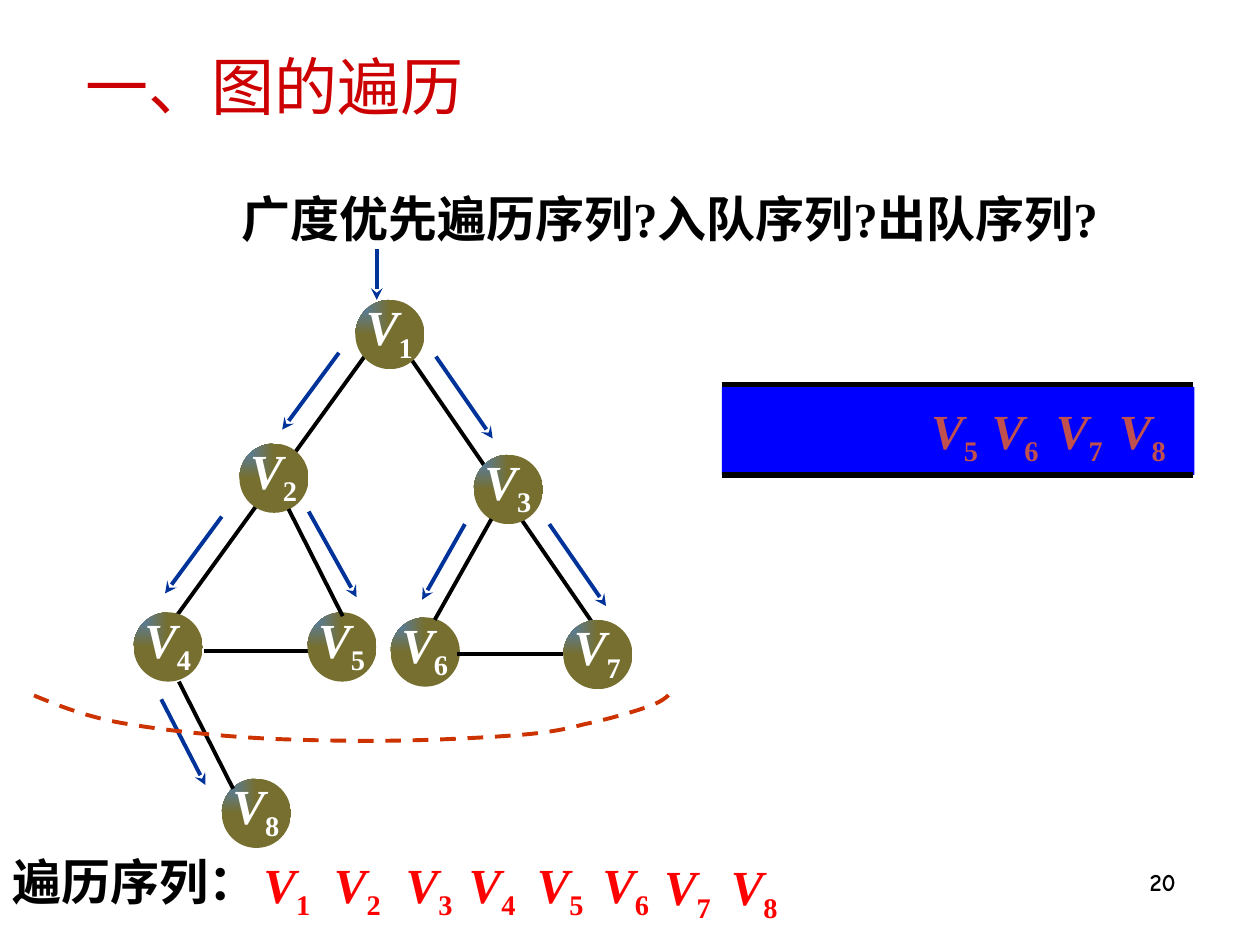
from typing import NamedTuple, Optional

import lxml.etree
import pptx
import pptx.dml.color
import pptx.enum.dml
import pptx.enum.shapes
import pptx.enum.text
import pptx.oxml
import pptx.oxml.ns
import pptx.util

COLUMNS, ROWS = 100, 75  # grid over the slide, ten cells to the inch
CELL = pptx.util.Inches(0.1)
SERIF, CHINESE = "Times New Roman", "Noto Sans CJK SC"
BLACK, WHITE, RED, BLUE = "000000", "FFFFFF", "FF0000", "003399"
NODE_SIZE = 5.5
LABEL_INSETS = (0.2, 0.1, 0.2, 0.1)
Align = pptx.enum.text.PP_ALIGN


class Point(NamedTuple):
    column: float
    row: float


class Area(NamedTuple):
    column: float
    row: float
    columns: float
    rows: float


class Style(NamedTuple):
    size: float
    font: str
    color: str
    bold: bool = True
    italic: bool = False


class Stroke(NamedTuple):
    start: Point
    end: Point
    color: str = BLACK
    width: float = 2.25
    arrow: bool = False


class Vertex(NamedTuple):
    number: int
    corner: Point


def cells(count: float) -> int:
    return round(count * CELL)


def rgb(color: str) -> pptx.dml.color.RGBColor:
    return pptx.dml.color.RGBColor.from_string(color)


def add_span(para, text: str, style: Style, lowered: bool = False) -> None:
    span = para.add_run()
    span.text = text
    font = span.font
    font.size, font.name = pptx.util.Pt(style.size), style.font
    font.bold, font.italic = style.bold, style.italic
    font.color.rgb = rgb(style.color)
    properties = span._r.get_or_add_rPr()
    east_asian = lxml.etree.SubElement(properties, pptx.oxml.ns.qn("a:ea"))
    east_asian.set("typeface", CHINESE)
    if lowered:
        properties.set("baseline", "-25000")


def add_box(page, area: Area, insets=(1, 0.5, 1, 0.5), align=Align.LEFT, wrap: bool = True):
    box = page.shapes.add_textbox(*map(cells, area))
    frame = box.text_frame
    frame.word_wrap = wrap
    (frame.margin_left, frame.margin_top,
     frame.margin_right, frame.margin_bottom) = map(cells, insets)
    frame.paragraphs[0].alignment = align
    return frame.paragraphs[0]


def add_vertex_name(para, number: int, color: str) -> None:
    style = Style(28, SERIF, color, italic=True)
    add_span(para, "V", style)
    add_span(para, str(number), style._replace(italic=False), lowered=True)


def add_names(page, first: int, columns: list[float], row: float, color: str) -> None:
    for number, column in enumerate(columns, first):
        para = add_box(page, Area(column, row, 6.2, 4.9), LABEL_INSETS)
        add_vertex_name(para, number, color)


def add_stroke(page, stroke: Stroke) -> None:
    line = page.shapes.add_connector(
        pptx.enum.shapes.MSO_CONNECTOR.STRAIGHT,
        *map(cells, stroke.start), *map(cells, stroke.end))
    line.line.color.rgb = rgb(stroke.color)
    line.line.width = pptx.util.Pt(stroke.width)
    if stroke.arrow:
        tail = lxml.etree.SubElement(line.line._get_or_add_ln(), pptx.oxml.ns.qn("a:tailEnd"))
        tail.set("type", "stealth")
    lxml.etree.SubElement(line._element.spPr, pptx.oxml.ns.qn("a:effectLst"))


def add_vertex(page, vertex: Vertex) -> None:
    column, row = vertex.corner
    disc = page.shapes.add_shape(
        pptx.enum.shapes.MSO_SHAPE.OVAL,
        *map(cells, Area(column, row, NODE_SIZE, NODE_SIZE)))
    disc.shadow.inherit = False
    disc.line.fill.background()
    disc.fill.gradient()
    for stop, color in zip(disc.fill.gradient_stops, ("4F81BD", "766F2F")):
        stop.color.rgb = rgb(color)
    # Spread the gradient from the top left corner
    gradient = disc._element.spPr.find(pptx.oxml.ns.qn("a:gradFill"))
    linear = gradient.find(pptx.oxml.ns.qn("a:lin"))
    gradient.replace(linear, pptx.oxml.parse_xml(
        f'<a:path {pptx.oxml.ns.nsdecls("a")} path="rect">'
        '<a:fillToRect r="100000" b="100000"/></a:path>'))
    para = add_box(page, Area(column + 0.75, row - 0.55, 5.1, 6.5),
                   (0.1, 0.3, 0, 0.1), Align.JUSTIFY)
    add_vertex_name(para, vertex.number, WHITE)


def curve_points(knots: list[Point], steps: int = 8) -> list[tuple[int, int]]:
    """Sample a chain of cubic curves; each three knots after the first end one."""
    points = []
    for first in range(0, len(knots) - 1, 3):
        piece = knots[first:first + 4]
        for step in range(steps + 1):
            t = step / steps
            weights = ((1 - t) ** 3, 3 * t * (1 - t) ** 2, 3 * t * t * (1 - t), t ** 3)
            points.append(tuple(cells(sum(w * knot[axis] for w, knot in zip(weights, piece)))
                                for axis in (0, 1)))
    return points


def add_level_curve(page, knots: list[Point]) -> None:
    start, *others = curve_points(knots)
    builder = page.shapes.build_freeform(*start)
    builder.add_line_segments(others, close=False)
    curve = builder.convert_to_shape()
    curve.shadow.inherit = False
    curve.fill.background()
    curve.line.color.rgb = rgb("CC3300")
    curve.line.width = pptx.util.Pt(2.25)
    curve.line.dash_style = pptx.enum.dml.MSO_LINE.DASH


VERTICES = [Vertex(number, Point(*corner)) for number, corner in enumerate(
    [(28.2, 23.8), (19, 35.2), (37.6, 36.1), (10.6, 48.6),
     (24.4, 48.6), (31, 49), (44.7, 49.2), (17.6, 61.8)], 1)]
LONG_EDGES = [(24.5, 51.7, 16.2, 51.7), (32.7, 28.6, 47, 49.4), (29, 28.2, 14, 48.9)]
SHORT_EDGES = [(22.9, 40.4, 27.2, 48.9), (39, 41.2, 34.5, 49.2),
               (44.7, 51.9, 36.3, 51.9), (14.2, 54.1, 18.5, 62.6)]
VISITS = [(29.9, 19.8, 29.9, 23.8), (26.9, 28, 22.4, 34.1), (34.6, 28.3, 39.1, 34.8),
          (17.6, 41, 13.1, 47.1), (24.5, 40.6, 28.3, 47.4), (36.9, 41.6, 33.5, 47.6),
          (43.6, 41.6, 48.1, 48.1), (12.8, 55.5, 16.3, 62.3)]
LEVEL_KNOTS = [Point(*knot) for knot in [
    (2.7, 55.2), (4.4, 55.9), (6.1, 56.6), (8.7, 57.2), (11.2, 57.7), (14.4, 58.1),
    (17.9, 58.4), (21.3, 58.7), (25.7, 58.8), (29.5, 58.8), (33.2, 58.8), (37.5, 58.6),
    (40.3, 58.4), (43.1, 58.2), (44.4, 58), (46.3, 57.5), (48.2, 57.1), (50.7, 56.4),
    (51.9, 55.9), (53.1, 55.4), (53.2, 54.9), (53.5, 54.7)]]


def add_strokes(page, ends: list[tuple], color: str = BLACK, width: float = 2.25,
                arrow: bool = False) -> None:
    for left, top, right, bottom in ends:
        add_stroke(page, Stroke(Point(left, top), Point(right, bottom), color, width, arrow))


def add_text(page, text: str, area: Area, style: Style,
             align: Optional[Align] = Align.LEFT, wrap: bool = True) -> None:
    add_span(add_box(page, area, align=align, wrap=wrap), text, style)


def main() -> None:
    deck = pptx.Presentation()
    deck.slide_width, deck.slide_height = cells(COLUMNS), cells(ROWS)
    page = deck.slides.add_slide(deck.slide_layouts[6])

    # Headings and page number
    add_text(page, "一、图的遍历", Area(5.8, 3.3, 32, 7),
             Style(36, CHINESE, "CC0000", bold=False), wrap=False)
    add_text(page, "广度优先遍历序列?入队序列?出队序列?", Area(18.2, 14.5, 75.5, 5.7),
             Style(28, SERIF, BLACK), Align.JUSTIFY)
    add_text(page, "20", Area(73.5, 68.3, 20.8, 5), Style(14, "Comic Neue", BLACK), Align.RIGHT)

    # Graph: long edges run behind the vertices
    add_strokes(page, LONG_EDGES)
    for vertex in VERTICES:
        add_vertex(page, vertex)
    add_strokes(page, SHORT_EDGES)
    add_strokes(page, VISITS, BLUE, arrow=True)

    # Queue
    queue = page.shapes.add_shape(pptx.enum.shapes.MSO_SHAPE.RECTANGLE,
                                  *map(cells, Area(57.3, 30.7, 37.5, 7)))
    queue.shadow.inherit = False
    queue.fill.solid()
    queue.fill.fore_color.rgb = rgb("0000FF")
    queue.line.fill.background()
    add_strokes(page, [(57.3, row, 94.7, row) for row in (30.5, 37.7)], width=3)
    add_names(page, 5, [73.7, 78.5, 83.6, 88.6], 31.7, "C0504D")

    # Visiting order
    add_text(page, "遍历序列：", Area(0, 67.1, 23.8, 5.7), Style(28, "Arial", BLACK))
    add_names(page, 1, [20.7, 26.3, 32, 37, 42.4, 47.6], 67.7, RED)
    add_names(page, 7, [52.5, 57.8], 67.9, RED)

    add_level_curve(page, LEVEL_KNOTS)
    deck.save("out.pptx")


if __name__ == "__main__":
    main()
